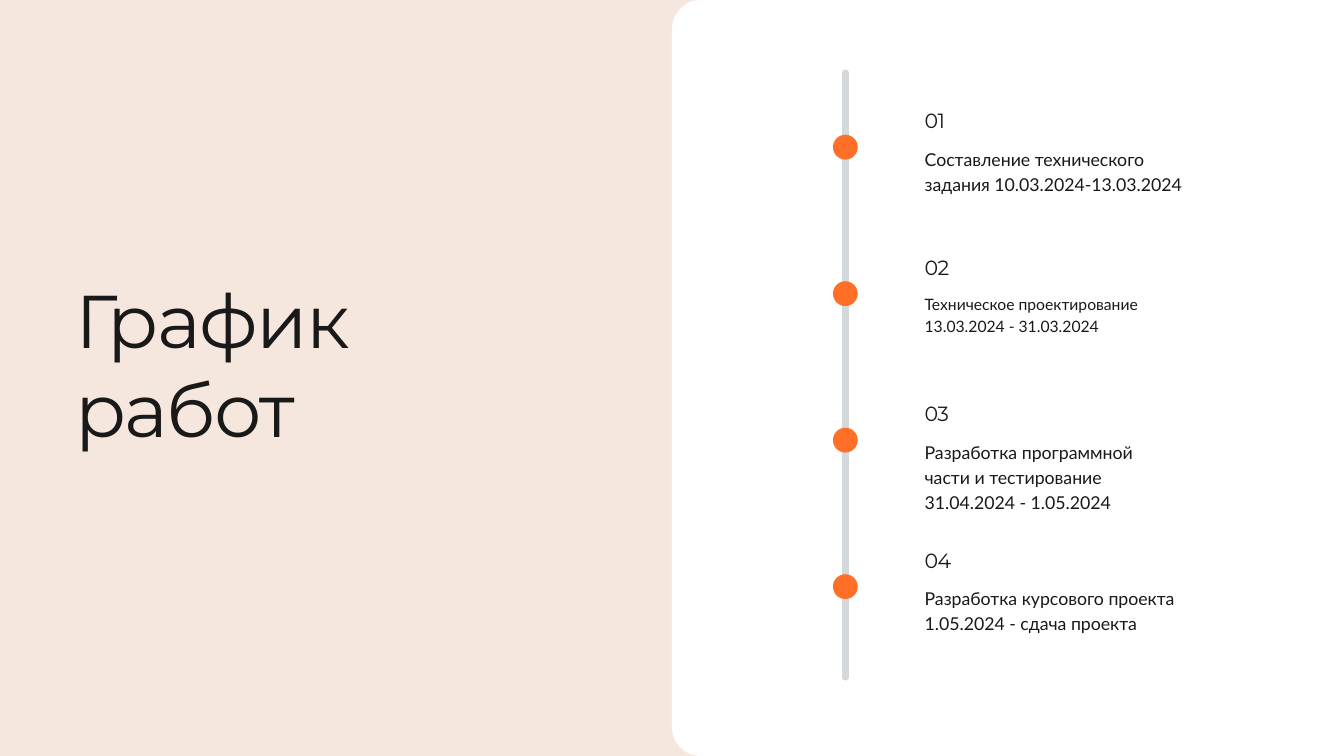
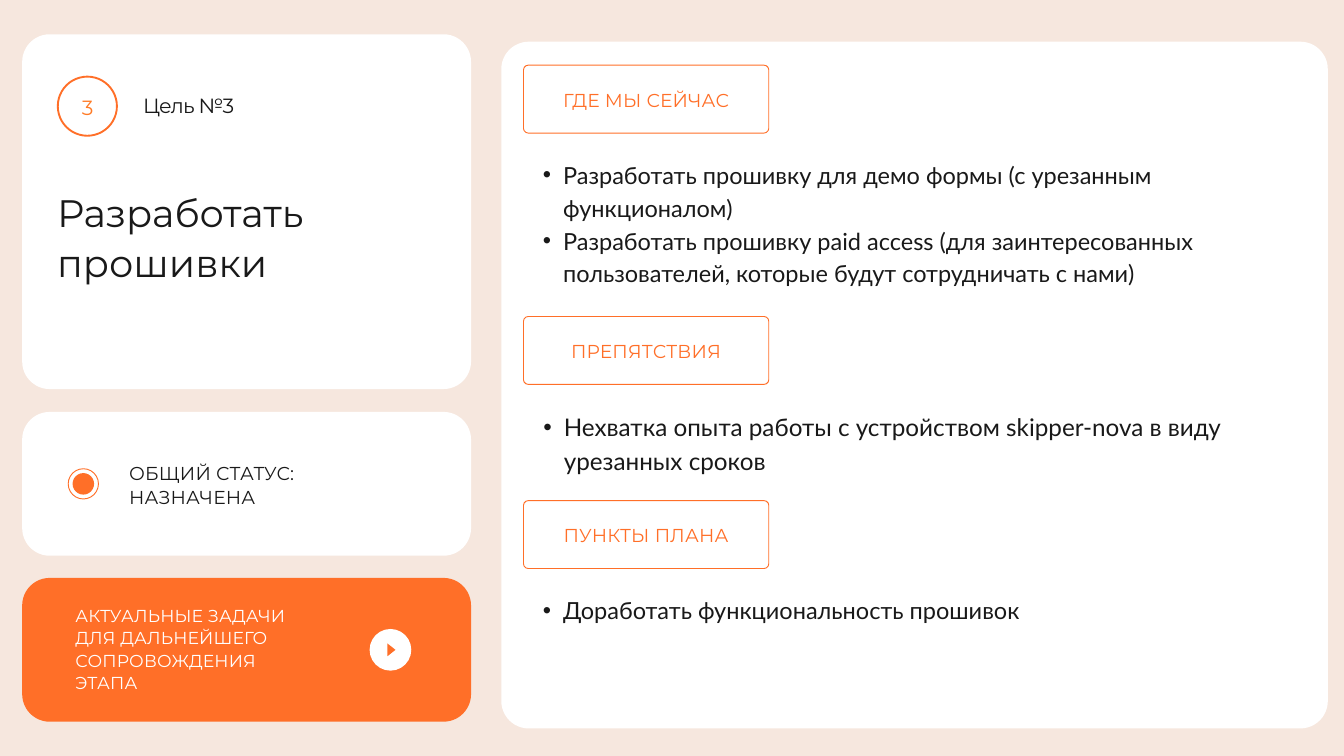
from lxml import etree
from pptx import Presentation
from pptx import util as u
from pptx.dml.color import RGBColor
from pptx.enum import shapes, text
from pptx.oxml.ns import qn

COLS, ROWS = 20, 11.25
SAND, WHITE, INK = "F6E7DE", "FFFFFF", "191919"
FIRE, AMBER, GREY = "FF6F28", "FF7B26", "D5D8DB"
HEAD, BODY = "Montserrat", "Lato"
KIND = shapes.MSO_SHAPE
MID = text.PP_ALIGN.CENTER


def hue(code):
    return RGBColor.from_string(code)


class Deck:
    def __init__(self):
        self.prs = Presentation()
        self.prs.slide_width = u.Inches(20)
        self.prs.slide_height = u.Inches(11.25)
        self.col = self.prs.slide_width / COLS
        self.row = self.prs.slide_height / ROWS
        self.slide = None

    def page(self):
        self.slide = self.prs.slides.add_slide(self.prs.slide_layouts[6])
        fill = self.slide.background.fill
        fill.solid()
        fill.fore_color.rgb = hue(SAND)

    def grid(self, x, y, w, h):
        return (round(x * self.col), round(y * self.row),
                round(w * self.col), round(h * self.row))

    def shape(self, kind, box, fill=None, edge=None, width=1):
        item = self.slide.shapes.add_shape(kind, *self.grid(*box))
        item.shadow.inherit = False
        if fill:
            item.fill.solid()
            item.fill.fore_color.rgb = hue(fill)
        else:
            item.fill.background()
        if edge:
            item.line.color.rgb = hue(edge)
            item.line.width = u.Pt(width)
        else:
            item.line.fill.background()
        return item

    def card(self, box, fill=WHITE, edge=None, curve=0.41):
        item = self.shape(KIND.ROUNDED_RECTANGLE, box, fill, edge)
        item.adjustments[0] = curve / min(box[2:])

    def dot(self, x, y, size, fill=None, edge=None, width=1):
        box = (x - size / 2, y - size / 2, size, size)
        self.shape(KIND.OVAL, box, fill, edge, width)

    def rule(self, x, top, end, color, width):
        x, top, _, end = self.grid(x, top, 0, end)
        line = self.slide.shapes.add_connector(
            shapes.MSO_CONNECTOR.STRAIGHT, x, end, x, top)
        line.line.color.rgb = hue(color)
        line.line.width = u.Pt(width)
        line.line._get_or_add_ln().set("cap", "rnd")
        etree.SubElement(line._element.spPr, qn("a:effectLst"))

    def bullet(self, para, indent):
        para.level = 1
        props = para._p.get_or_add_pPr()
        props.set("marL", str(round(indent * self.col)))
        props.set("indent", str(round(-indent * self.col / 2)))
        etree.SubElement(props, qn("a:buFont")).set("typeface", "Arial")
        etree.SubElement(props, qn("a:buChar")).set("char", "•")

    def words(self, box, lines, size, lead, font=HEAD, color=INK,
              track=0, align=None, indent=0):
        frame = self.slide.shapes.add_textbox(*self.grid(*box)).text_frame
        frame.word_wrap = True
        frame.margin_left = frame.margin_right = 0
        frame.margin_top = frame.margin_bottom = 0
        for i, line in enumerate(lines):
            para = frame.add_paragraph() if i else frame.paragraphs[0]
            if indent:
                self.bullet(para, indent)
            para.line_spacing = u.Pt(lead)
            if align:
                para.alignment = align
            run = para.add_run()
            run.text = line
            run.font.name = font
            run.font.size = u.Pt(size)
            run.font.color.rgb = hue(color)
            if track:
                run._r.get_or_add_rPr().set("spc", str(round(track * 100)))

    def label(self, box, line, color=INK, align=None):
        self.words(box, [line], 22, 28.6, color=color, track=-0.7, align=align)

    def caps(self, box, line, color=INK, align=None, size=20, lead=26):
        self.words(box, [line], size, lead, color=color, track=0.2, align=align)


def plan(deck):
    deck.page()
    deck.card((10, 0, 10.61, 11.25), curve=0.43)
    deck.rule(12.58, 1.08, 10.08, GREY, 6.75)
    steps = [
        (["Составление технического задания 10.03.2024-13.03.2024"], 4.14, 19, 26.6),
        (["Техническое проектирование 13.03.2024 - 31.03.2024"], 3.73, 16.8, 23.4),
        (["Разработка программной части и тестирование",
          "31.04.2024 - 1.05.2024"], 3.73, 19, 26.6),
        (["Разработка курсового проекта 1.05.2024 - сдача проекта"], 3.73, 19, 26.6),
    ]
    for i, (lines, wide, size, lead) in enumerate(steps):
        top = 1.58 + 2.18 * i
        deck.dot(12.58, top + 0.61, 0.37, FIRE)
        deck.label((13.76, top, wide, 0.38), f"{i + 1:02}")
        deck.words((13.76, top + 0.58, wide, 1.07), lines, size, lead, BODY)
    deck.words((1.12, 4.07, 6.21, 2.67), ["График работ"], 80, 96, track=-1.6)


def goal(deck):
    deck.page()
    for top, high, fill in ((0.51, 5.28, WHITE), (6.13, 2.14, WHITE), (8.6, 2.14, FIRE)):
        deck.card((0.33, top, 6.68, high), fill)
    deck.card((7.46, 0.62, 12.3, 10.22))

    deck.dot(1.3, 1.58, 0.88, edge=FIRE, width=2)
    deck.label((1.05, 1.38, 0.51, 0.38), "3", AMBER, MID)
    deck.label((2.13, 1.36, 3.1, 0.39), "Цель №3")
    deck.words((0.85, 2.76, 5.64, 1.46), ["Разработать прошивки"], 41, 53.3)

    deck.dot(1.24, 7.2, 0.45, edge=FIRE)
    deck.dot(1.24, 7.2, 0.32, FIRE)
    deck.caps((1.92, 6.84, 3.07, 0.7), "ОБЩИЙ СТАТУС: НАЗНАЧЕНА")

    deck.caps((1.12, 8.98, 3.31, 1.34),
              "АКТУАЛЬНЫЕ ЗАДАЧИ ДЛЯ ДАЛЬНЕЙШЕГО СОПРОВОЖДЕНИЯ ЭТАПА",
              WHITE, size=18.5, lead=24.1)
    deck.dot(5.81, 9.67, 0.62, WHITE)
    play = deck.shape(KIND.ISOSCELES_TRIANGLE, (5.73, 9.61, 0.19, 0.12), FIRE)
    play.rotation = 90

    parts = [
        (0.96, "ГДЕ МЫ СЕЙЧАС", 1.95, 25.2, 35.3, 0.6,
         ["Разработать прошивку для демо формы (с урезанным функционалом)",
          "Разработать прошивку paid access (для заинтересованных "
          "пользователей, которые будут сотрудничать с нами)"]),
        (4.7, "ПРЕПЯТСТВИЯ", 0.99, 26, 36.4, 0.61,
         ["Нехватка опыта работы с устройством skipper-nova в виду "
          "урезанных сроков"]),
        (7.44, "ПУНКТЫ ПЛАНА", 0.48, 25.2, 35.3, 0.6,
         ["Доработать функциональность прошивок"]),
    ]
    for top, name, high, size, lead, indent, lines in parts:
        deck.card((7.79, top + 0.01, 3.65, 1.01), None, FIRE, 0.07)
        deck.caps((8.08, top + 0.33, 3.07, 0.35), name, FIRE, MID)
        deck.words((7.78, top + 1.36, 11.4, high), lines, size, lead, BODY,
                   indent=indent)


def main():
    deck = Deck()
    plan(deck)
    goal(deck)
    deck.prs.save("out.pptx")


if __name__ == "__main__":
    main()
